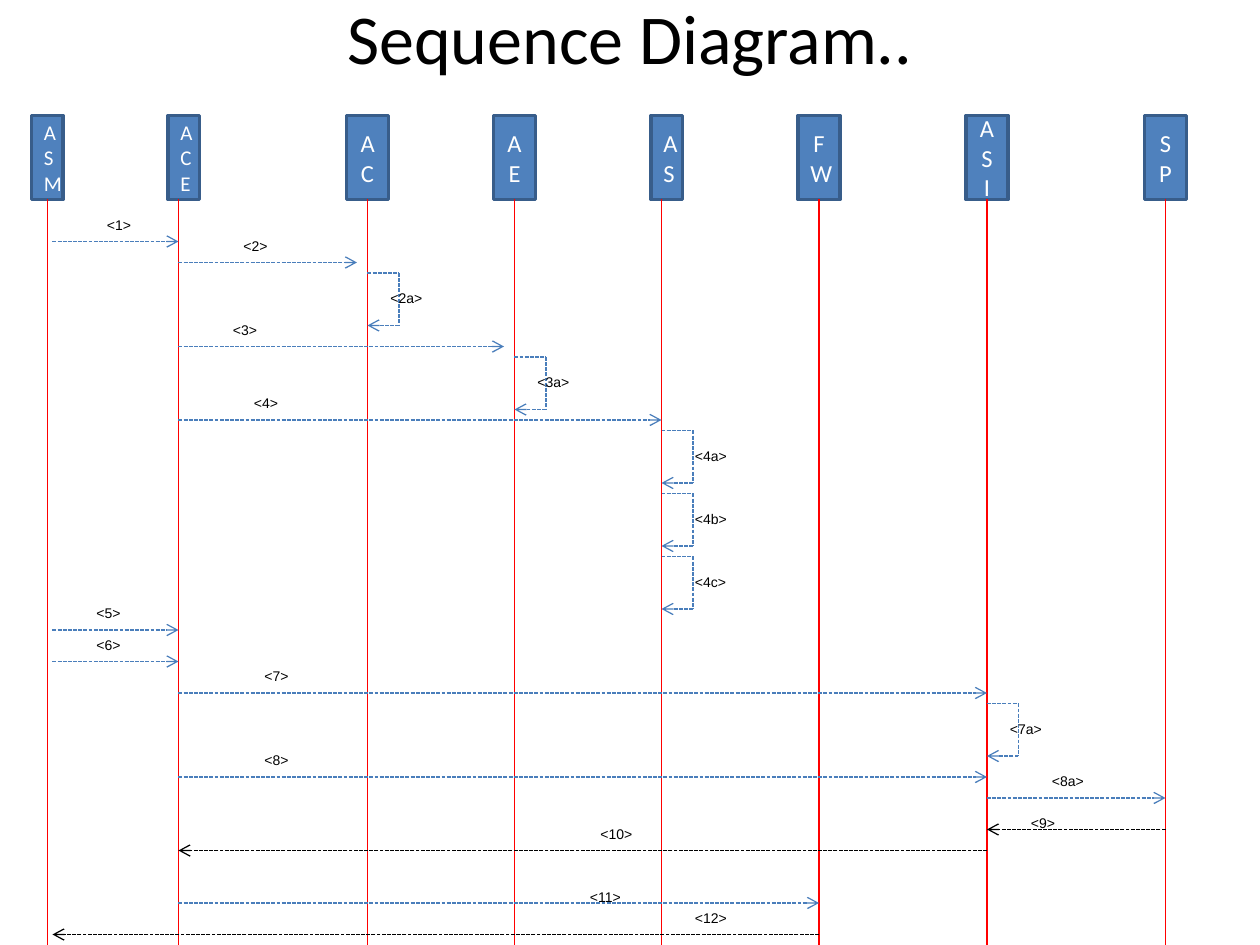
import pptx
import pptx.dml.color
import pptx.enum.dml
import pptx.enum.shapes
import pptx.enum.text
import pptx.oxml
import pptx.oxml.ns
import pptx.util

Pt = pptx.util.Pt
ALIGN = pptx.enum.text.PP_ALIGN
COLORS = {"box": "4F81BD", "border": "385D8A", "lifeline": "FF0000",
          "call": "4A7EBB", "reply": "000000", "text": "000000", "head": "FFFFFF"}

HEAD_H = 48
LOOP_W, LOOP_H = 18, 30
LABEL_H = 17

# name: (box left, box width, lifeline x, text size, alignment)
ACTORS = {
    "ASM": (18, 18, 27, 12, ALIGN.LEFT),
    "ACE": (96, 18, 102, 12, ALIGN.LEFT),
    "AC": (198, 24, 210, 14, ALIGN.CENTER),
    "AE": (282, 24, 294, 14, ALIGN.CENTER),
    "AS": (372, 18, 378, 14, ALIGN.CENTER),
    "FW": (456, 24, 468, 14, ALIGN.CENTER),
    "ASI": (552, 24, 564, 14, ALIGN.CENTER),
    "SP": (654, 24, 666, 14, ALIGN.CENTER),
}
# label, sender, receiver, gap before receiver, y, label x, label rise, label width, kind
MESSAGES = [
    ("<1>", "ASM", "ACE", 0, 72, 54, 18, 30, "call"),
    ("<2>", "ACE", "AC", -6, 84, 132, 18, 30, "call"),
    ("<3>", "ACE", "AE", -6, 132, 126, 18, 30, "call"),
    ("<4>", "ACE", "AS", 0, 174, 138, 18, 30, "call"),
    ("<5>", "ASM", "ACE", 0, 294, 48, 18, 30, "call"),
    ("<6>", "ASM", "ACE", 0, 312, 48, 18, 30, "call"),
    ("<7>", "ACE", "ASI", 0, 330, 144, 18, 30, "call"),
    ("<8>", "ACE", "ASI", 0, 378, 144, 18, 30, "call"),
    ("<8a>", "ASI", "SP", 0, 390, 594, 18, 36, "call"),
    ("<9>", "SP", "ASI", 0, 408, 582, 12, 30, "reply"),
    ("<10>", "ASI", "ACE", 0, 420, 336, 18, 48, "reply"),
    ("<11>", "ACE", "FW", 0, 450, 330, 12, 42, "call"),
    ("<12>", "FW", "ASM", 3, 468, 390, 18, 42, "reply"),
]
# label, actor, y, label offset
LOOPS = [
    ("<2a>", "AC", 90, 6), ("<3a>", "AE", 138, 6), ("<4a>", "AS", 180, 12),
    ("<4b>", "AS", 216, 12), ("<4c>", "AS", 252, 12), ("<7a>", "ASI", 336, 6),
]


def rgb(name):
    return pptx.dml.color.RGBColor.from_string(COLORS[name])


def write(sp, text, size, font, color, align):
    p = sp.text_frame.paragraphs[0]
    p.alignment = align
    r = p.add_run()
    r.text = text
    r.font.size = Pt(size)
    r.font.name = font
    r.font.color.rgb = rgb(color)


def add_line(shapes, x1, y1, x2, y2, color, dashed=False, arrow=False):
    c = shapes.add_connector(pptx.enum.shapes.MSO_CONNECTOR.STRAIGHT,
                             Pt(x1), Pt(y1), Pt(x2), Pt(y2))
    c.line.color.rgb = rgb(color)
    c.line.width = Pt(0.75)
    if dashed:
        c.line.dash_style = pptx.enum.dml.MSO_LINE.SQUARE_DOT
    spPr = c._element.spPr
    if arrow:
        tail = pptx.oxml.ns.qn("a:tailEnd")
        ln = spPr.find(pptx.oxml.ns.qn("a:ln"))
        ln.append(ln.makeelement(tail, {"type": "arrow"}))
    spPr.append(spPr.makeelement(pptx.oxml.ns.qn("a:effectLst"), {}))
    return c


def add_title(s, x, y, w, h):
    sp = s.shapes.add_textbox(Pt(x), Pt(y), Pt(w), Pt(h))
    tf = sp.text_frame
    tf.word_wrap = True
    tf.margin_top = tf.margin_bottom = 0
    tf.vertical_anchor = pptx.enum.text.MSO_ANCHOR.MIDDLE
    write(sp, "Sequence Diagram..", 40, "Calibri", "text", ALIGN.CENTER)


def add_label(s, text, x, y, w):
    sp = s.shapes.add_textbox(Pt(x), Pt(y), Pt(w), Pt(LABEL_H))
    sp.text_frame.word_wrap = True
    sp.text_frame.auto_size = pptx.enum.text.MSO_AUTO_SIZE.SHAPE_TO_FIT_TEXT
    write(sp, text, 8, "Arial", "text", ALIGN.LEFT)


def add_actor(s, name, x, y, h):
    left, w, line_x, size, align = ACTORS[name]
    sp = s.shapes.add_shape(pptx.enum.shapes.MSO_SHAPE.RECTANGLE,
                            Pt(x + left), Pt(y), Pt(w), Pt(HEAD_H))
    sp.shadow.inherit = False
    sp.fill.solid()
    sp.fill.fore_color.rgb = rgb("box")
    sp.line.color.rgb = rgb("border")
    sp.line.width = Pt(2)
    sp.text_frame.word_wrap = True
    sp.text_frame.vertical_anchor = pptx.enum.text.MSO_ANCHOR.MIDDLE
    write(sp, name, size, "Calibri", "head", align)
    c = add_line(s.shapes, x + line_x, y + HEAD_H, x + line_x, y + h, "lifeline")
    if line_x == left + w / 2:
        c.begin_connect(sp, 2)


def add_loop(s, label, x, y, label_dx):
    shapes = s.shapes.add_group_shape().shapes
    right, bottom = x + LOOP_W, y + LOOP_H
    add_line(shapes, x, y, right, y, "call", dashed=True)
    add_line(shapes, right, y, right, bottom, "call", dashed=True)
    add_line(shapes, right, bottom, x, bottom, "call", dashed=True, arrow=True)
    add_label(s, label, x + label_dx, y + 6, 36)


def add_sequence(s, x, y, h):
    for name in ACTORS:
        add_actor(s, name, x, y, h)
    for label, src, dst, gap, dy, label_x, rise, w, kind in MESSAGES:
        start = x + ACTORS[src][2] + (3 if src == "ASM" else 0)
        end = x + ACTORS[dst][2] + gap
        add_line(s.shapes, start, y + dy, end, y + dy, kind, dashed=True, arrow=True)
        add_label(s, label, x + label_x, y + dy - rise, w)
    for label, name, dy, label_dx in LOOPS:
        add_loop(s, label, x + ACTORS[name][2], y + dy, label_dx)


def main():
    prs = pptx.Presentation()
    prs.slide_width, prs.slide_height = Pt(720), Pt(540)
    s = prs.slides.add_slide(prs.slide_layouts[6])
    add_title(s, 36, 0, 648, 42)
    add_sequence(s, 0, 66, 474)
    prs.save("out.pptx")


if __name__ == "__main__":
    main()
